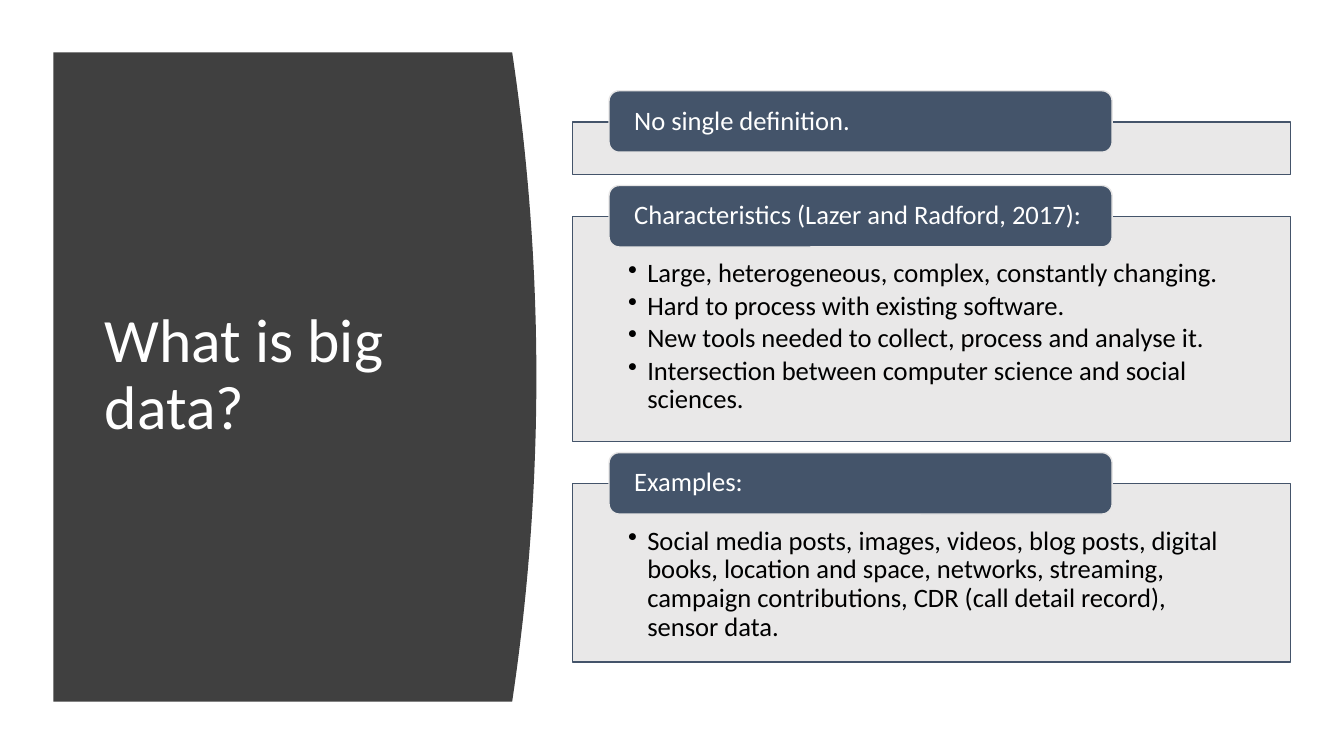
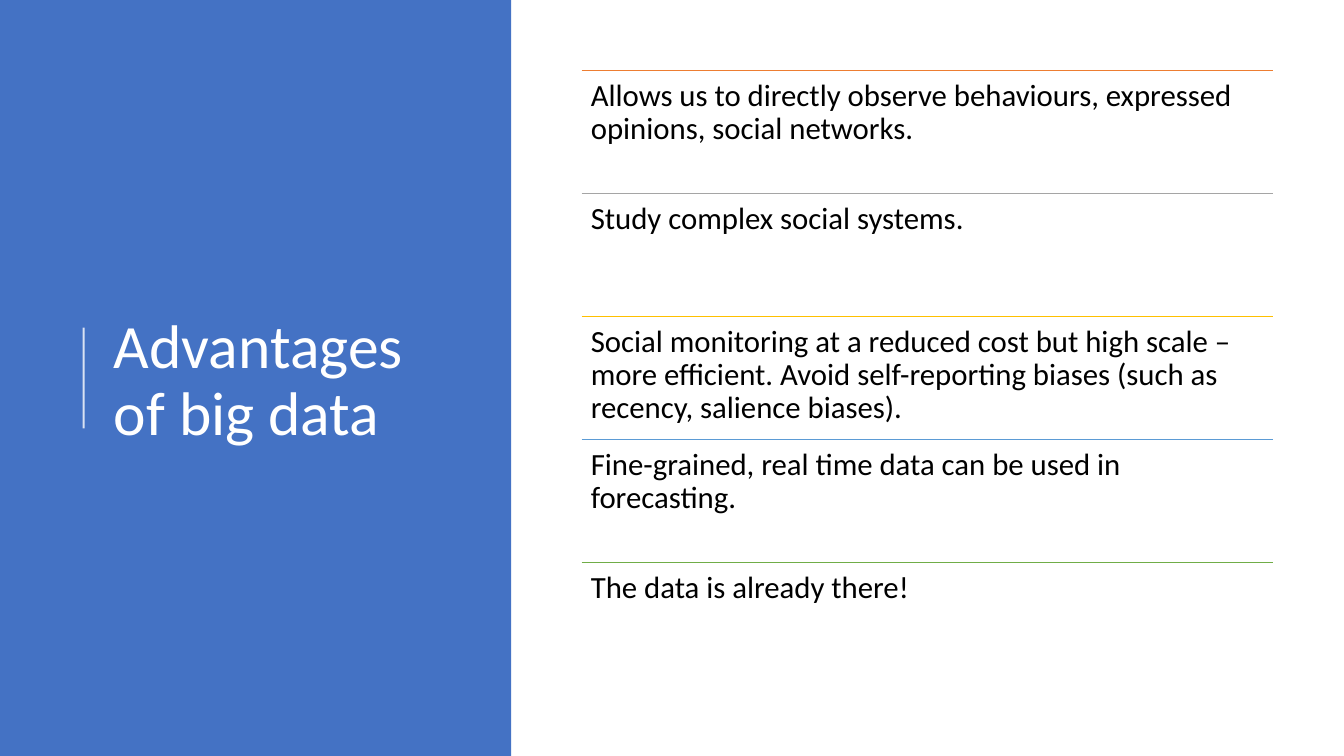
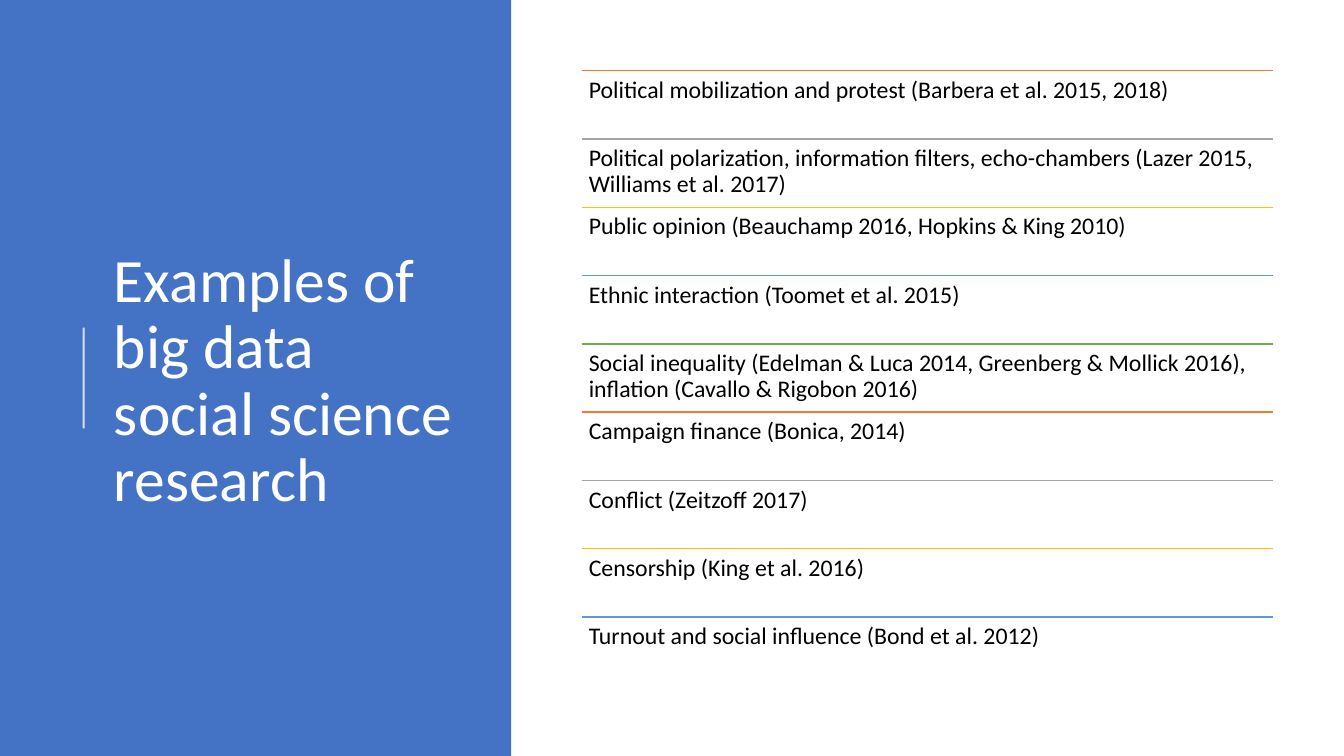
from itertools import cycle

from lxml import etree
from pptx import Presentation
from pptx.dml.color import RGBColor
from pptx.enum.shapes import MSO_CONNECTOR, MSO_SHAPE
from pptx.enum.text import MSO_ANCHOR, MSO_AUTO_SIZE, PP_ALIGN
from pptx.oxml.ns import qn
from pptx.util import Pt

# Scale: 100 px to the inch
PX = 9144
PAGE_WIDTH, PAGE_HEIGHT = 1333, 750

# Shared style
FONT = "Calibri"
WHITE = RGBColor(0xFF, 0xFF, 0xFF)
BLACK = RGBColor(0x00, 0x00, 0x00)
CHARCOAL = RGBColor(0x40, 0x40, 0x40)
SLATE = RGBColor(0x44, 0x54, 0x6A)
LIGHT_GRAY = RGBColor(0xE7, 0xE6, 0xE6)
BLUE = RGBColor(0x44, 0x72, 0xC4)
RULE_COLORS = (
    RGBColor(0xED, 0x7D, 0x31),
    RGBColor(0xA5, 0xA5, 0xA5),
    RGBColor(0xFF, 0xC0, 0x00),
    RGBColor(0x5B, 0x9B, 0xD5),
    RGBColor(0x70, 0xAD, 0x47),
)

RECTANGLE = MSO_SHAPE.RECTANGLE
ROUNDED = MSO_SHAPE.ROUNDED_RECTANGLE
STRAIGHT = MSO_CONNECTOR.STRAIGHT
TOP, MIDDLE = MSO_ANCHOR.TOP, MSO_ANCHOR.MIDDLE
LEFT = PP_ALIGN.LEFT
NO_FIT = MSO_AUTO_SIZE.NONE
TITLE_ONLY = 5

# Content
DEFINITION_BLOCKS = [
    ("No single definition.", 52, []),
    ("Characteristics (Lazer and Radford, 2017):", 223, [
        "Large, heterogeneous, complex, constantly changing.",
        "Hard to process with existing software.",
        "New tools needed to collect, process and analyse it.",
        "Intersection between computer science and social sciences.",
    ]),
    ("Examples:", 177, [
        "Social media posts, images, videos, blog posts, digital books, "
        "location and space, networks, streaming, campaign contributions, "
        "CDR (call detail record), sensor data.",
    ]),
]
ADVANTAGES = [
    "Allows us to directly observe behaviours, expressed opinions, social networks.",
    "Study complex social systems.",
    "Social monitoring at a reduced cost but high scale – more efficient. "
    "Avoid self-reporting biases (such as recency, salience biases).",
    "Fine-grained, real time data can be used in forecasting.",
    "The data is already there!",
]
RESEARCH_EXAMPLES = [
    "Political mobilization and protest (Barbera et al. 2015, 2018)",
    "Political polarization, information filters, echo-chambers "
    "(Lazer 2015, Williams et al. 2017)",
    "Public opinion (Beauchamp 2016, Hopkins & King 2010)",
    "Ethnic interaction (Toomet et al. 2015)",
    "Social inequality (Edelman & Luca 2014, Greenberg & Mollick 2016), "
    "inflation (Cavallo & Rigobon 2016)",
    "Campaign finance (Bonica, 2014)",
    "Conflict (Zeitzoff 2017)",
    "Censorship (King et al. 2016)",
    "Turnout and social influence (Bond et al. 2012)",
]


def px(*lengths):
    return [round(length * PX) for length in lengths]


# Formatting helpers
def set_opacity(element, percent):
    """Make the first solid colour inside the element partly transparent."""
    color = next(element.iter(qn("a:srgbClr")))
    etree.SubElement(color, qn("a:alpha")).set("val", str(percent * 1000))


def set_bullet(para, indent):
    properties = para._p.get_or_add_pPr()
    width = px(indent)[0]
    properties.set("marL", str(width))
    properties.set("indent", str(-width))
    etree.SubElement(properties, qn("a:buChar")).set("char", "•")


def write_text(shape, lines, size, color, margins, anchor=TOP, space_after=0, bullet_indent=0):
    frame = shape.text_frame
    frame.auto_size = NO_FIT
    frame.word_wrap = True
    frame.vertical_anchor = anchor
    (frame.margin_left, frame.margin_top,
     frame.margin_right, frame.margin_bottom) = px(*margins)
    for index, line in enumerate(lines):
        para = frame.paragraphs[0] if index == 0 else frame.add_paragraph()
        para.alignment = LEFT
        para.line_spacing = 0.9
        para.space_before = Pt(0)
        para.space_after = Pt(space_after)
        if bullet_indent:
            set_bullet(para, bullet_indent)
        span = para.add_run()
        span.text = line
        span.font.name = FONT
        span.font.size = Pt(size)
        span.font.color.rgb = color


# Element builders
def paint(shape, fill, outline=None):
    shape.shadow.inherit = False
    shape.fill.solid()
    shape.fill.fore_color.rgb = fill
    if outline is None:
        shape.line.fill.background()
    else:
        shape.line.color.rgb = outline
        shape.line.width = Pt(1)


def add_box(page, kind, place, fill, outline=None):
    box = page.shapes.add_shape(kind, *px(*place))
    paint(box, fill, outline)
    return box


def add_rule(page, start, end, color, width):
    rule = page.shapes.add_connector(STRAIGHT, *px(*start, *end))
    rule.line.color.rgb = color
    rule.line.width = Pt(width)
    etree.SubElement(rule.element.spPr, qn("a:effectLst"))
    return rule


def add_page(deck, title, place):
    page = deck.slides.add_slide(deck.slide_layouts[TITLE_ONLY])
    box = page.shapes.title
    box.left, box.top, box.width, box.height = px(*place)
    write_text(box, [title], 44, WHITE, (10, 5, 10, 5), MIDDLE)
    return page


def send_to_back(page, shape):
    page.shapes.element.insert(2, shape.element)


def add_curved_panel(page):
    left, top, edge, bottom, bulge, steps = 53, 52, 508, 696, 24, 40
    curve = []
    for step in range(steps + 1):
        ratio = step / steps
        x = edge + bulge * (1 - (2 * ratio - 1) ** 2)
        curve.append(px(x, top + ratio * (bottom - top)))
    builder = page.shapes.build_freeform(*px(left, top))
    builder.add_line_segments(curve + [px(left, bottom)], close=True)
    panel = builder.convert_to_shape()
    paint(panel, CHARCOAL)
    send_to_back(page, panel)


def add_block(page, top, height, heading, bullets):
    body = add_box(page, RECTANGLE, (568, top, 712, height), LIGHT_GRAY, SLATE)
    set_opacity(body.element.spPr, 90)
    if bullets:
        write_text(body, bullets, 19, BLACK, (55, 43, 55, 15),
                   space_after=2.6, bullet_indent=19)
    header = add_box(page, ROUNDED, (604, top - 31, 499, 61), SLATE, LIGHT_GRAY)
    write_text(header, [heading], 19, WHITE, (22, 3, 22, 3), MIDDLE)


def add_ruled_list(page, items, size, margin):
    left, top, width, height = 577, 70, 686, 610
    pitch = height / len(items)
    for index, (item, color) in enumerate(zip(items, cycle(RULE_COLORS))):
        y = top + index * pitch
        add_rule(page, (left, y), (left + width, y), color, 1)
        box = page.shapes.add_textbox(*px(left, y, width, pitch))
        write_text(box, [item], size, BLACK, [margin] * 4)


# Pages
def add_definition_page(deck):
    page = add_page(deck, "What is big data?", (94, 111, 374, 524))
    add_curved_panel(page)
    top, gap = 121, 42
    for heading, height, bullets in DEFINITION_BLOCKS:
        add_block(page, top, height, heading, bullets)
        top += height + gap


def add_list_page(deck, title, items, size, margin):
    page = add_page(deck, title, (103, 78, 369, 602))
    panel = add_box(page, RECTANGLE, (0, 0, 507, PAGE_HEIGHT), BLUE)
    send_to_back(page, panel)
    divider = add_rule(page, (83, 425), (83, 325), WHITE, 1.5)
    set_opacity(divider.element.spPr, 80)
    add_ruled_list(page, items, size, margin)


def main():
    deck = Presentation()
    deck.slide_width, deck.slide_height = px(PAGE_WIDTH, PAGE_HEIGHT)
    add_definition_page(deck)
    add_list_page(deck, "Advantages of big data", ADVANTAGES, 22, 9)
    add_list_page(deck, "Examples of big data social science research",
                  RESEARCH_EXAMPLES, 17, 7)
    deck.save("out.pptx")


if __name__ == "__main__":
    main()
